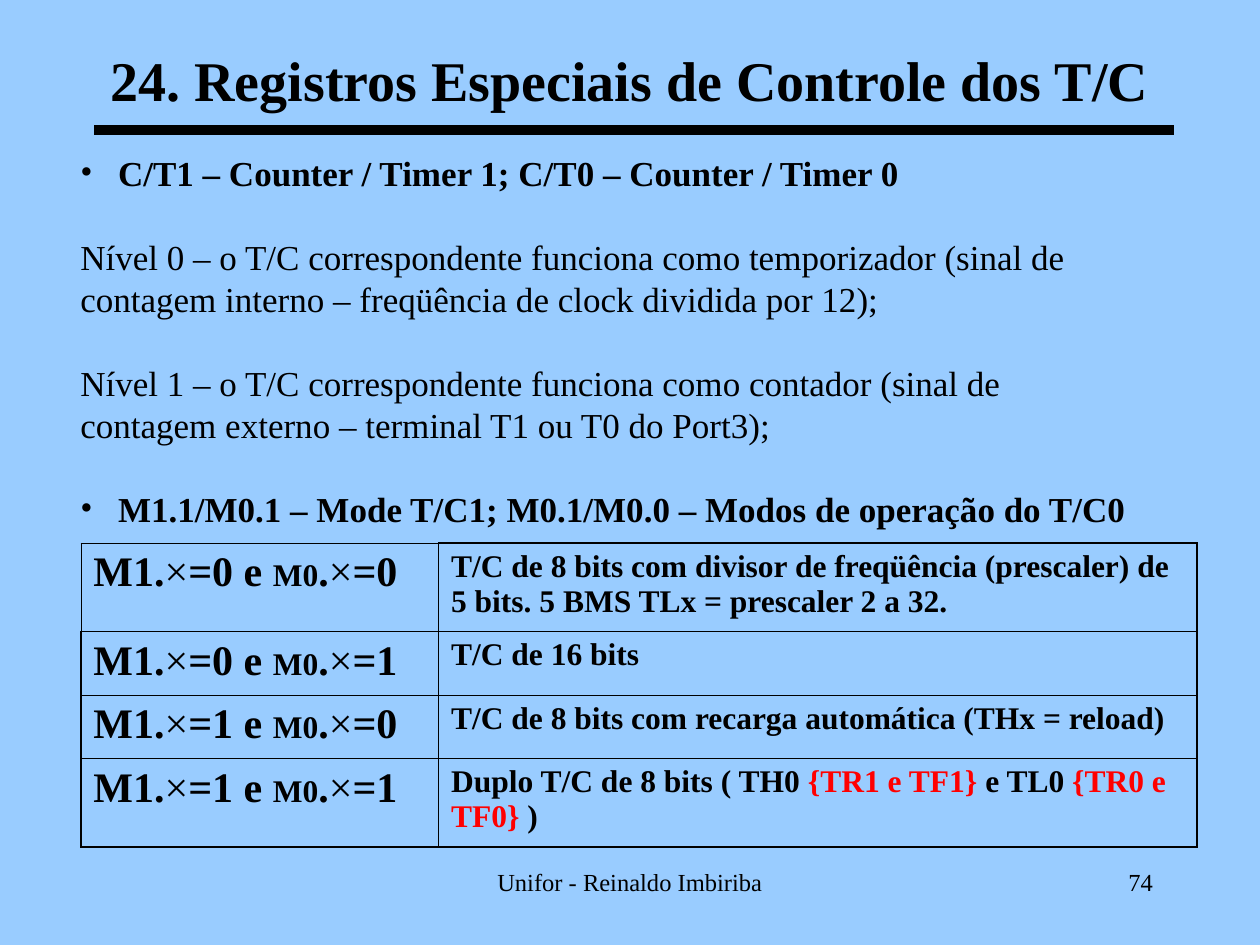
from lxml.etree import SubElement
from pptx import Presentation
from pptx.dml.color import RGBColor
from pptx.enum.shapes import MSO_CONNECTOR
from pptx.enum.text import MSO_ANCHOR, MSO_AUTO_SIZE, PP_ALIGN
from pptx.oxml.ns import qn
from pptx.util import Cm, Pt

BLACK, RED, SKY = "000000", "FF0000", "99CCFF"


def color(value):
    return RGBColor.from_string(value)


class SlideBuilder:
    """Hold the text style and the current slide, and add elements to it."""

    font = "Times New Roman"
    thin, thick = 0.45, 1.08

    def __init__(self, prs):
        self.s = prs.slides.add_slide(prs.slide_layouts[5])
        self.s.background.fill.solid()
        self.s.background.fill.fore_color.rgb = color(SKY)

    def run(self, p, text, size, bold=False, fill=BLACK):
        r = p.add_run()
        r.text = text
        r.font.name = self.font
        r.font.size = Pt(size)
        r.font.bold = bold
        r.font.color.rgb = color(fill)

    def title(self, text, left, top, width, height):
        sp = self.s.shapes.title
        sp.left, sp.top, sp.width, sp.height = map(Cm, (left, top, width, height))
        tf = sp.text_frame
        tf.word_wrap = True
        tf.auto_size = MSO_AUTO_SIZE.NONE
        tf.vertical_anchor = MSO_ANCHOR.MIDDLE
        p = tf.paragraphs[0]
        p.alignment = PP_ALIGN.CENTER
        self.run(p, text, 32, True)

    def rule(self, left, right, y, width):
        line = self.s.shapes.add_connector(
            MSO_CONNECTOR.STRAIGHT, Cm(left), Cm(y), Cm(right), Cm(y))
        line.line.color.rgb = color(BLACK)
        line.line.width = Pt(width)
        SubElement(line._element.spPr, qn("a:effectLst"))

    def text_frame(self, left, top, width, height):
        sp = self.s.shapes.add_textbox(Cm(left), Cm(top), Cm(width), Cm(height))
        sp.text_frame.word_wrap = True
        return sp.text_frame

    def footer(self, text, left, width, align):
        p = self.text_frame(left, 17.35, width, 1.27).paragraphs[0]
        p.alignment = align
        self.run(p, text, 14)

    def bullet(self, p, indent):
        pPr = p._p.get_or_add_pPr()
        pPr.set("marL", str(Cm(indent)))
        pPr.set("indent", str(-Cm(indent)))
        SubElement(pPr, qn("a:buFont"), typeface=self.font)
        SubElement(pPr, qn("a:buChar"), char="•")

    def body(self, blocks, left, top, width, height):
        tf = self.text_frame(left, top, width, height)
        for b, (is_heading, lines) in enumerate(blocks):
            for i, line in enumerate(lines):
                p = tf.add_paragraph() if b or i else tf.paragraphs[0]
                p.line_spacing = Pt(24)
                if b and not i:
                    p.space_before = Pt(24)
                if is_heading:
                    self.bullet(p, 0.76)
                self.run(p, line, 20, is_heading)

    def borders(self, cell, widths):
        tcPr = cell._tc.get_or_add_tcPr()
        for side, width in zip("LRTB", widths):
            ln = SubElement(tcPr, qn(f"a:ln{side}"), w=str(Pt(width)))
            fill = SubElement(ln, qn("a:solidFill"))
            SubElement(fill, qn("a:srgbClr"), val=BLACK)

    def table(self, rows, left, top, col_widths, row_heights):
        n_rows, n_cols = len(rows), len(col_widths)
        table = self.s.shapes.add_table(
            n_rows, n_cols, Cm(left), Cm(top),
            Cm(sum(col_widths)), Cm(sum(row_heights))).table
        table.first_row = table.horz_banding = False
        for column, width in zip(table.columns, col_widths):
            column.width = Cm(width)
        for i, (row, height) in enumerate(zip(rows, row_heights)):
            table.rows[i].height = Cm(height)
            for j, runs in enumerate(row):
                cell = table.cell(i, j)
                edges = (j == 0, j == n_cols - 1, i == 0, i == n_rows - 1)
                heavy = (i, j) != (0, 0)
                self.borders(cell, [self.thick if edge and heavy else self.thin
                                    for edge in edges])
                cell.fill.background()
                for args in runs:
                    self.run(cell.text_frame.paragraphs[0], *args)


def mode(m1, m0):
    return [("M1.", 24, True), ("×", 24), (f"={m1} e ", 24, True),
            ("M0", 18, True), (".", 24, True), ("×", 24), (f"={m0}", 24, True)]


def description(*parts):
    return [(text, 18, True, RED if text.startswith("{") else BLACK)
            for text in parts]


def main():
    prs = Presentation()
    prs.slide_width, prs.slide_height = Cm(25.4), Cm(19.05)
    slide = SlideBuilder(prs)
    slide.footer("Unifor - Reinaldo Imbiriba", 8.68, 8.04, PP_ALIGN.CENTER)
    slide.footer("74", 18.2, 5.29, PP_ALIGN.RIGHT)
    slide.title("24. Registros Especiais de Controle dos T/C", 1.9, 0, 21.6, 3.18)
    slide.rule(1.9, 23.67, 2.62, 6)
    slide.body([
        (True, ["C/T1 – Counter / Timer 1; C/T0 – Counter / Timer 0"]),
        (False, ["Nível 0 – o T/C correspondente funciona como temporizador (sinal de",
                 "contagem interno – freqüência de clock dividida por 12);"]),
        (False, ["Nível 1 – o T/C correspondente funciona como contador (sinal de",
                 "contagem externo – terminal T1 ou T0 do Port3);"]),
        (True, ["M1.1/M0.1 – Mode T/C1; M0.1/M0.0 – Modos de operação do T/C0"]),
    ], 1.37, 2.92, 22.43, 9.58)
    descriptions = [
        description("T/C de 8 bits com divisor de freqüência (prescaler) de "
                    "5 bits. 5 BMS TLx = prescaler 2 a 32."),
        description("T/C de 16 bits"),
        description("T/C de 8 bits com recarga automática (THx = reload)"),
        description("Duplo T/C de 8 bits ( TH0 ", "{TR1 e TF1}", " e TL0 ",
                    "{TR0 e TF0}", " )"),
    ]
    rows = [(mode(*divmod(i, 2)), text) for i, text in enumerate(descriptions)]
    slide.table(rows, 1.63, 10.95, [7.21, 15.29], [1.78, 1.28, 1.28, 1.78])
    prs.save("out.pptx")


if __name__ == "__main__":
    main()
